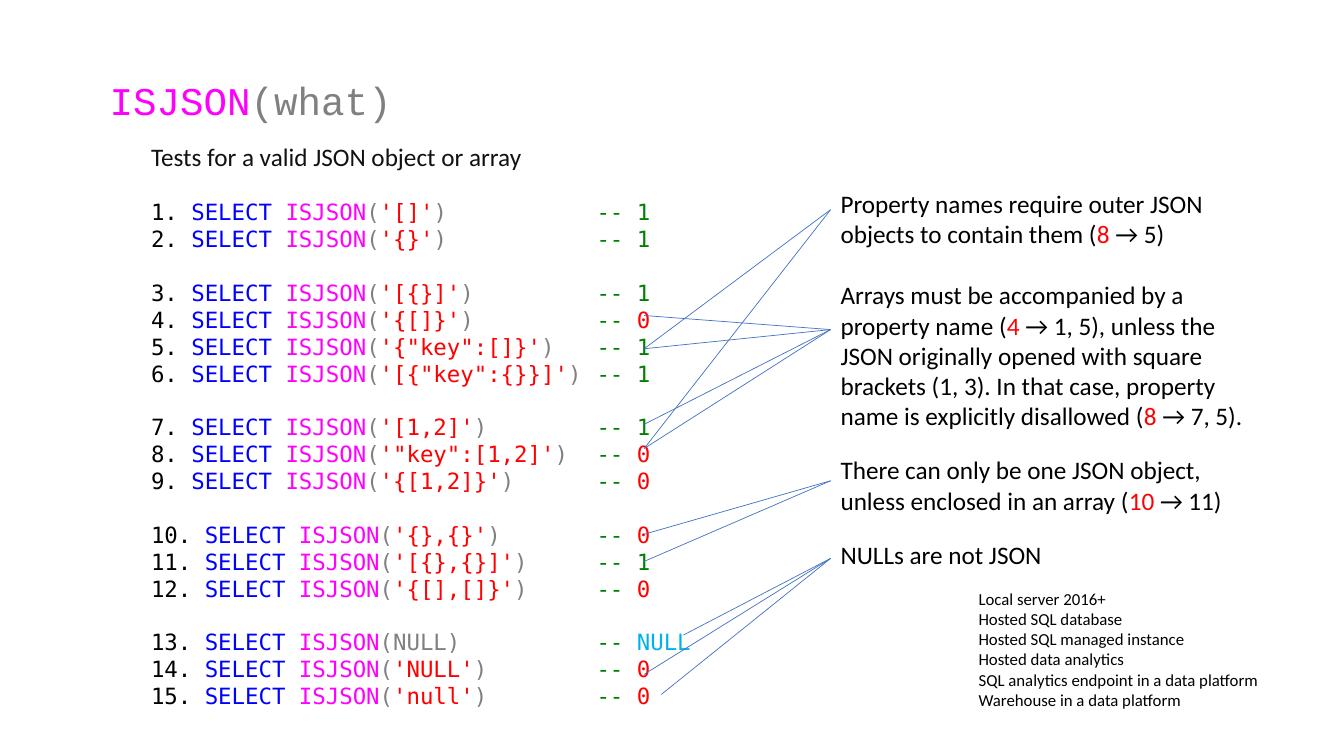
from lxml.etree import SubElement
from pptx import Presentation
from pptx.dml.color import RGBColor
from pptx.enum.shapes import MSO_CONNECTOR
from pptx.oxml.ns import qn
from pptx.util import Inches, Pt

CELL = Inches(0.1)  # the slide is a grid of 133.33 columns by 75 rows
COLORS = {
    "text": "000000", "intro": "111111", "key": "0000FF", "func": "FF00FF",
    "punct": "808080", "red": "FF0000", "green": "008000", "null": "00B0F0",
    "line": "4472C4",
}
RESULTS = {"0": "red", "1": "green", "NULL": "null"}

GROUPS = [
    [("'[]'", "1"), ("'{}'", "1")],
    [("'[{}]'", "1"), ("'{[]}'", "0"), ("'{\"key\":[]}'", "1"),
     ("'[{\"key\":{}}]'", "1")],
    [("'[1,2]'", "1"), ("'\"key\":[1,2]'", "0"), ("'{[1,2]}'", "0")],
    [("'{},{}'", "0"), ("'[{},{}]'", "1"), ("'{[],[]}'", "0")],
    [("NULL", "NULL"), ("'NULL'", "0"), ("'null'", "0")],
]
# Each note: space before in points, then runs of text and colour
NOTES = [
    (0, [("Property names require outer JSON objects to contain them (", "text"),
         ("8 ", "red"), ("→ 5)", "text")]),
    (22, [("Arrays must be accompanied by a property name (", "text"),
          ("4 ", "red"),
          ("→ 1, 5), unless the JSON originally opened with square brackets "
           "(1, 3). In that case, property name is explicitly disallowed (",
           "text"),
          ("8 ", "red"), ("→ 7, 5).", "text")]),
    (17, [("There can only be one JSON object, unless enclosed in an array (",
           "text"),
          ("10 ", "red"), ("→ 11)", "text")]),
    (17, [("NULLs are not JSON", "text")]),
]
PRODUCTS = [
    "Local server 2016+",
    "Hosted SQL database",
    "Hosted SQL managed instance",
    "Hosted data analytics",
    "SQL analytics endpoint in a data platform",
    "Warehouse in a data platform",
]
# Where links leave each query and reach each note, within the link area
STARTS = {4: (0, 10.6), 5: (0, 13.9), 7: (0, 21.4), 8: (0, 23.8),
          10: (0, 32.3), 11: (0, 35), 13: (3.9, 42.3), 14: (0, 46.2),
          15: (1.7, 48.2)}
LINKS = [(0.1, (5, 8)), (12, (4, 5, 7, 8)), (27, (10, 11)),
         (34.7, (13, 14, 15))]


def grid(*cells):
    return [round(cell * CELL) for cell in cells]


def write(slide, box, paras, font, size, tab=None):
    """Fill a text box with (space before, runs) paragraphs."""
    frame = slide.shapes.add_textbox(*grid(*box)).text_frame
    frame.word_wrap = True
    for i, (space, runs) in enumerate(paras):
        para = frame.add_paragraph() if i else frame.paragraphs[0]
        if tab:
            stops = SubElement(para._p.get_or_add_pPr(), qn("a:tabLst"))
            SubElement(stops, qn("a:tab"), pos=str(grid(tab)[0]), algn="l")
        if space:
            para.space_before = Pt(space)
        for text, color in runs:
            run = para.add_run()
            run.text = text
            run.font.name = font
            run.font.size = Pt(size)
            run.font.color.rgb = RGBColor.from_string(COLORS[color])


def header(slide, box):
    left, top, width, height = box
    title = [("ISJSON", "func"), ("(what)", "punct")]
    intro = [("Tests for a valid JSON object or array", "intro")]
    write(slide, (left, top, 68.3, 5.7), [(0, title)], "Courier New", 28)
    write(slide, (left + 4.1, top + 6.4, width - 4.1, height - 6.4),
          [(0, intro)], "Calibri", 18)


def queries(slide, box):
    paras = []
    for group in GROUPS:
        for i, (arg, result) in enumerate(group):
            space = 19.2 if paras and i == 0 else 0
            paras.append((space, [
                (f"{len(paras) + 1}. ", "text"), ("SELECT ", "key"),
                ("ISJSON", "func"), ("(", "punct"),
                (arg, "punct" if arg == "NULL" else "red"),
                (")\t", "punct"), ("-- ", "green"),
                (result, RESULTS[result]),
            ]))
    write(slide, box, paras, "DejaVu Sans Mono", 16, tab=44.2)


def notes(slide, box):
    write(slide, box, NOTES, "Calibri", 18)


def products(slide, box):
    paras = [(0, [(name, "text")]) for name in PRODUCTS]
    write(slide, box, paras, "Calibri", 12)


def links(slide, box):
    """Draw lines from query results to the notes that explain them."""
    left, top, width = box
    for end, rows in LINKS:
        for row in rows:
            dx, dy = STARTS[row]
            line = slide.shapes.add_connector(
                MSO_CONNECTOR.STRAIGHT,
                *grid(left + dx, top + dy, left + width, top + end))
            line.line.color.rgb = RGBColor.from_string(COLORS["line"])
            line.line.width = Pt(0.5)
            SubElement(line._element.spPr, qn("a:effectLst"))


def main():
    deck = Presentation()
    deck.slide_width, deck.slide_height = grid(133.33, 75)
    slide = deck.slides.add_slide(deck.slide_layouts[6])
    header(slide, (9.9, 7.1, 102.5, 10.4))
    queries(slide, (14, 19.2, 57.7, 52.2))
    products(slide, (96.1, 57.9, 32.4, 13.1))
    notes(slide, (82.4, 18.2, 42.5, 39))
    links(slide, (63.9, 20.7, 18.5))
    deck.save("out.pptx")


if __name__ == "__main__":
    main()
